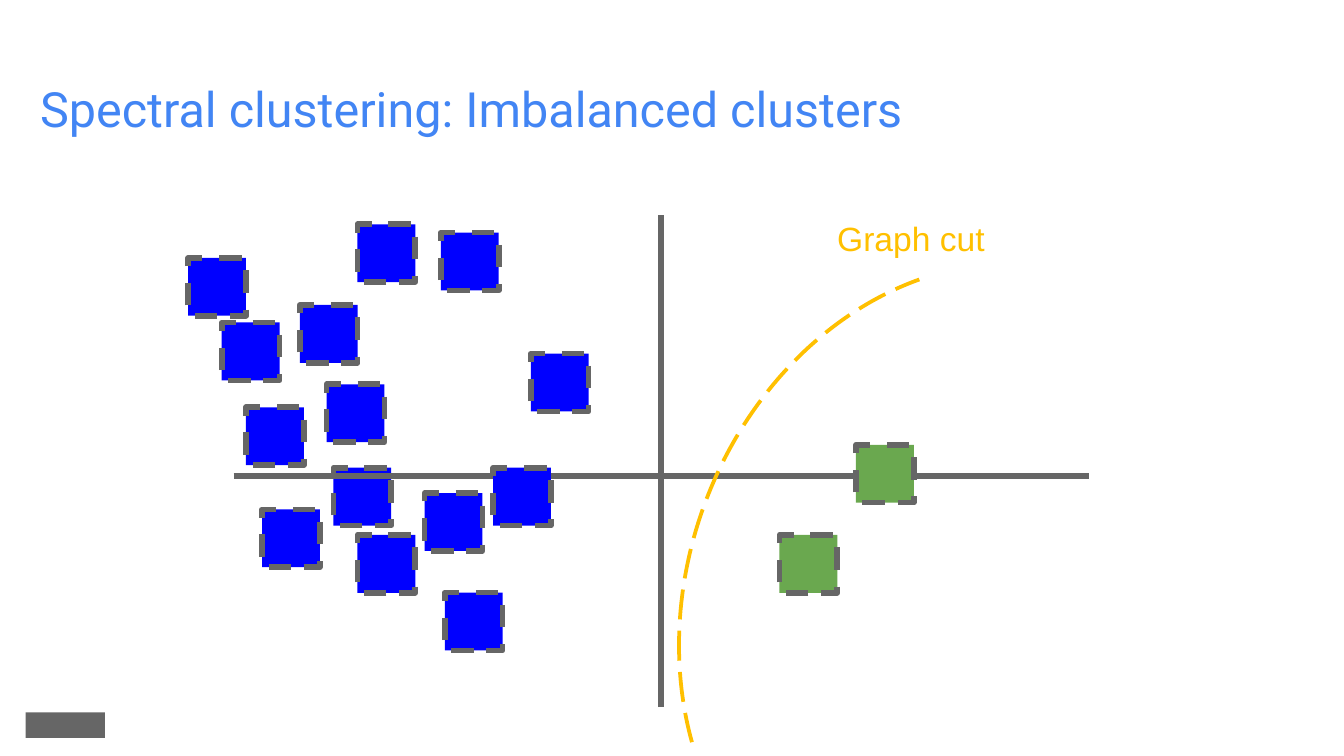
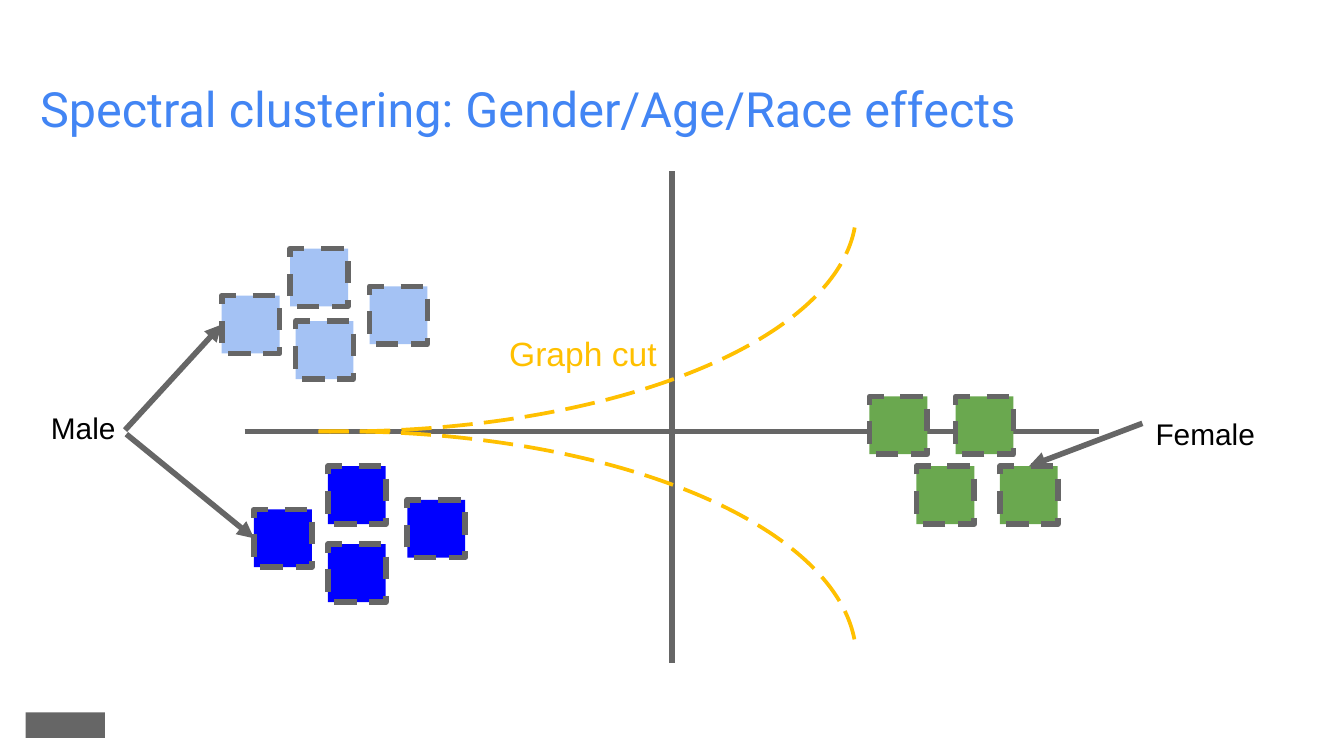
from lxml.etree import SubElement
from pptx import Presentation
from pptx.dml.color import RGBColor
from pptx.enum.dml import MSO_LINE
from pptx.enum.shapes import MSO_CONNECTOR, MSO_SHAPE
from pptx.oxml.ns import qn
from pptx.util import Pt

COLORS = {
    "title": "4285F4",
    "grey": "666666",
    "blue": "0000FF",
    "light": "A4C2F4",
    "green": "6AA84F",
    "cut": "FFC000",
    "black": "000000",
}
SQUARE = 31
TOP, LEFT = 0, 1  # connection sites of a rectangle


def color(name):
    return RGBColor.from_string(COLORS[name])


class Painter:
    """Holds the deck, its style and the current page."""

    def __init__(self):
        self.deck = Presentation()
        self.deck.slide_width, self.deck.slide_height = Pt(720), Pt(405)
        self.page = None

    def new_page(self, title):
        self.page = self.deck.slides.add_slide(self.deck.slide_layouts[6])
        # Footer mark
        mark = self.shape(MSO_SHAPE.RECTANGLE, 13.8, 381.6, 42.4, 13.7)
        mark.fill.solid()
        mark.fill.fore_color.rgb = color("grey")
        mark.line.fill.background()
        self.text(title, 14.4, 35.3, 691.2, 45.4, 26, "title", font="Roboto")

    def shape(self, kind, left, top, width, height):
        shape = self.page.shapes.add_shape(
            kind, Pt(left), Pt(top), Pt(width), Pt(height))
        shape.shadow.inherit = False
        return shape

    def outline(self, line, name, width, dash=None):
        line.color.rgb = color(name)
        line.width = Pt(width)
        if dash is not None:
            line.dash_style = dash

    def text(self, words, left, top, width, height, size, name,
             font="Arial", inset=7.2, wrap=True):
        box = self.page.shapes.add_textbox(
            Pt(left), Pt(top), Pt(width), Pt(height))
        frame = box.text_frame
        frame.word_wrap = wrap
        frame.margin_top = frame.margin_bottom = Pt(inset)
        para = frame.paragraphs[0]
        para.text = words
        para.font.name = font
        para.font.size = Pt(size)
        para.font.color.rgb = color(name)

    def squares(self, name, *places):
        """Draw one cluster and return its squares."""
        cluster = []
        for left, top in places:
            square = self.shape(MSO_SHAPE.RECTANGLE, left, top, SQUARE, SQUARE)
            square.fill.solid()
            square.fill.fore_color.rgb = color(name)
            self.outline(square.line, "grey", 3, MSO_LINE.DASH)
            cluster.append(square)
        return cluster

    def line(self, x1, y1, x2, y2):
        line = self.page.shapes.add_connector(
            MSO_CONNECTOR.STRAIGHT, Pt(x1), Pt(y1), Pt(x2), Pt(y2))
        self.outline(line.line, "grey", 3)
        SubElement(line.element.spPr, qn("a:effectLst"))
        return line

    def arrow(self, x, y, target, site):
        arrow = self.line(x, y, x, y)
        arrow.end_connect(target, site)
        SubElement(arrow.line._get_or_add_ln(), qn("a:tailEnd"), type="triangle")

    def axes(self, x, y):
        """Draw the crossed axes that meet at x, y."""
        self.line(x - 229, y, x + 229, y)
        self.line(x, y + 124, x, y - 139.5)

    def cut(self, left, top, width, height, angles, rotation, flip=False):
        arc = self.shape(MSO_SHAPE.ARC, left, top, width, height)
        arc.adjustments[0], arc.adjustments[1] = angles
        arc.rotation = rotation
        if flip:
            arc.element.spPr.xfrm.set("flipV", "1")
        arc.fill.background()
        self.outline(arc.line, "cut", 2, MSO_LINE.LONG_DASH)

    def cut_label(self, left, top):
        self.text("Graph cut", left, top, 94.3, 28.8, 18, "cut",
                  inset=3.6, wrap=False)


def imbalanced_clusters(painter):
    painter.new_page("Spectral clustering: Imbalanced clusters")
    # Squares behind the axes
    painter.squares("green", (417.6, 286.6))
    painter.squares("blue", (227.5, 264.2), (175, 205.9), (160.6, 163.4),
                    (178.6, 250.6))
    painter.axes(354.2, 254.9)
    # Squares in front of the axes
    painter.squares("blue", (191.5, 286.6), (140.4, 272.9), (131.8, 218.2),
                    (118.8, 172.8), (238.3, 317.5), (100.8, 138.2),
                    (236.2, 124.6), (191.5, 120.2), (284.4, 189.4),
                    (264.2, 250.6))
    painter.squares("green", (458.6, 238.3))
    painter.cut(336.2, 169.2, 372.2, 308.9, (26.27, 90.04), 110.2)
    painter.cut_label(441.4, 113)


def group_effects(painter):
    painter.new_page("Spectral clustering: Gender/Age/Race effects")
    painter.axes(360, 231.1)
    # Clusters
    light = painter.squares("light", (118.8, 158.4), (155.5, 133.2),
                            (198, 153.4), (158.4, 172.1))
    blue = painter.squares("blue", (136.1, 272.9), (218.2, 267.8),
                           (175.7, 249.8), (175.7, 291.6))
    green = painter.squares("green", (535.7, 249.8), (491, 249.8),
                            (511.9, 212.4), (465.8, 212.4))
    # Labels and their arrows
    painter.text("Male", 20.2, 212.4, 69.1, 23, 16, "black")
    painter.arrow(67, 230.4, light[0], LEFT)
    painter.arrow(67.7, 232.6, blue[0], LEFT)
    painter.text("Female", 612, 215.3, 69.1, 23, 16, "black")
    painter.arrow(612, 226.8, green[0], TOP)
    # Mirrored cuts
    angles = (50.71, 106.85)
    painter.cut(-94.3, 231.1, 553, 243.4, angles, 180)
    painter.cut_label(265.7, 175)
    painter.cut(-94.3, -5.8, 553, 236.9, angles, 180, flip=True)


def main():
    painter = Painter()
    imbalanced_clusters(painter)
    group_effects(painter)
    painter.deck.save("out.pptx")


if __name__ == "__main__":
    main()
